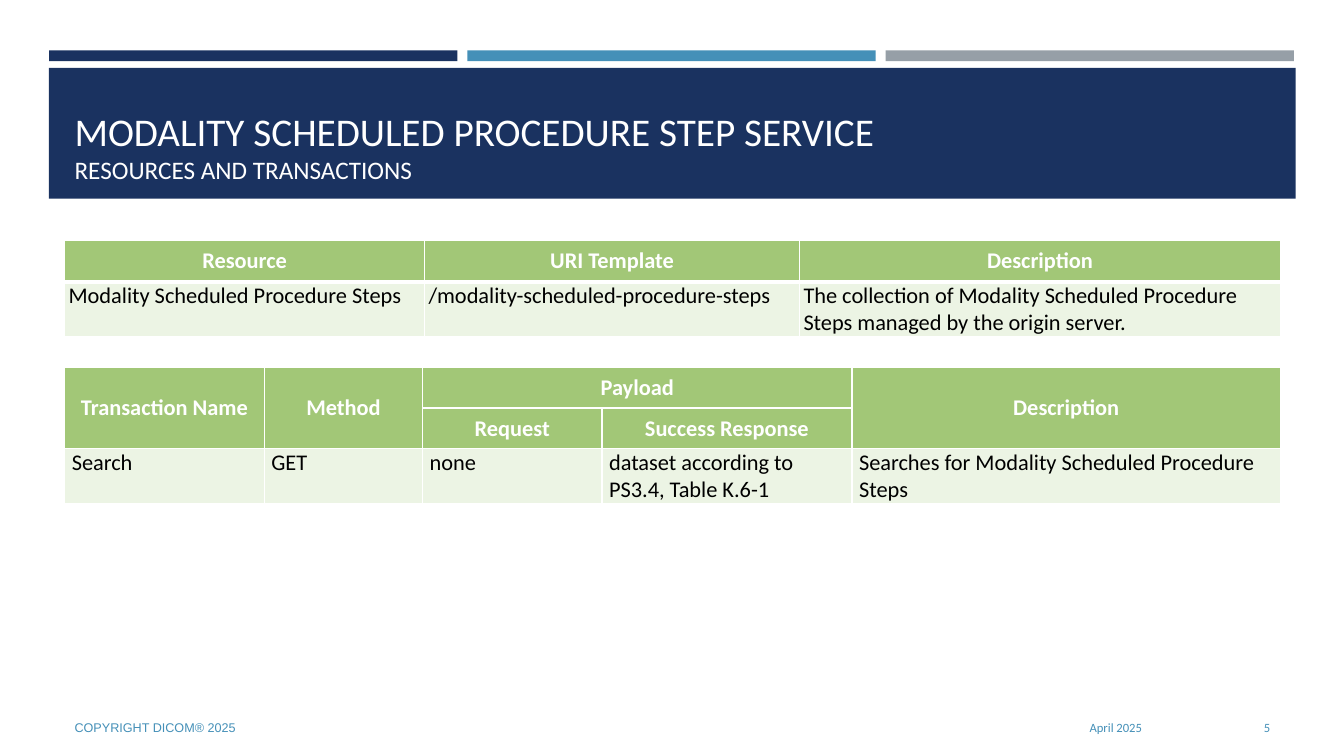
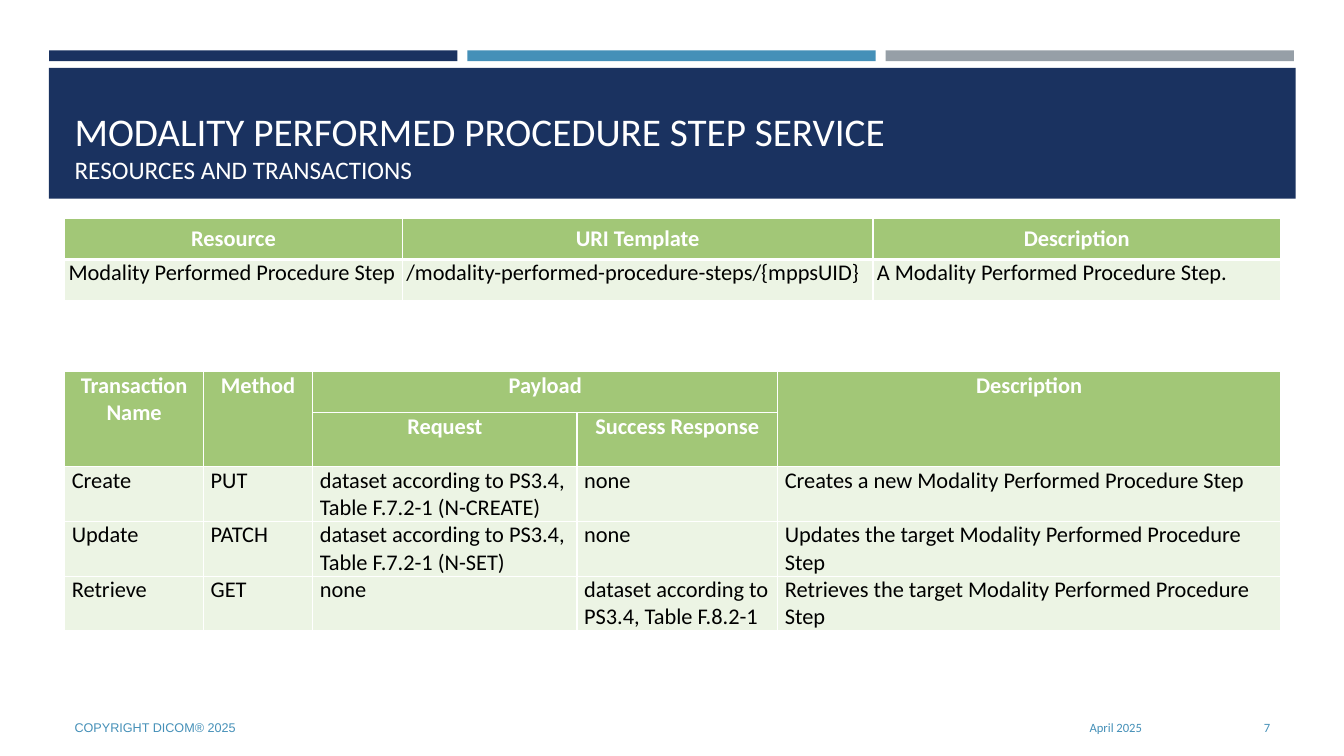
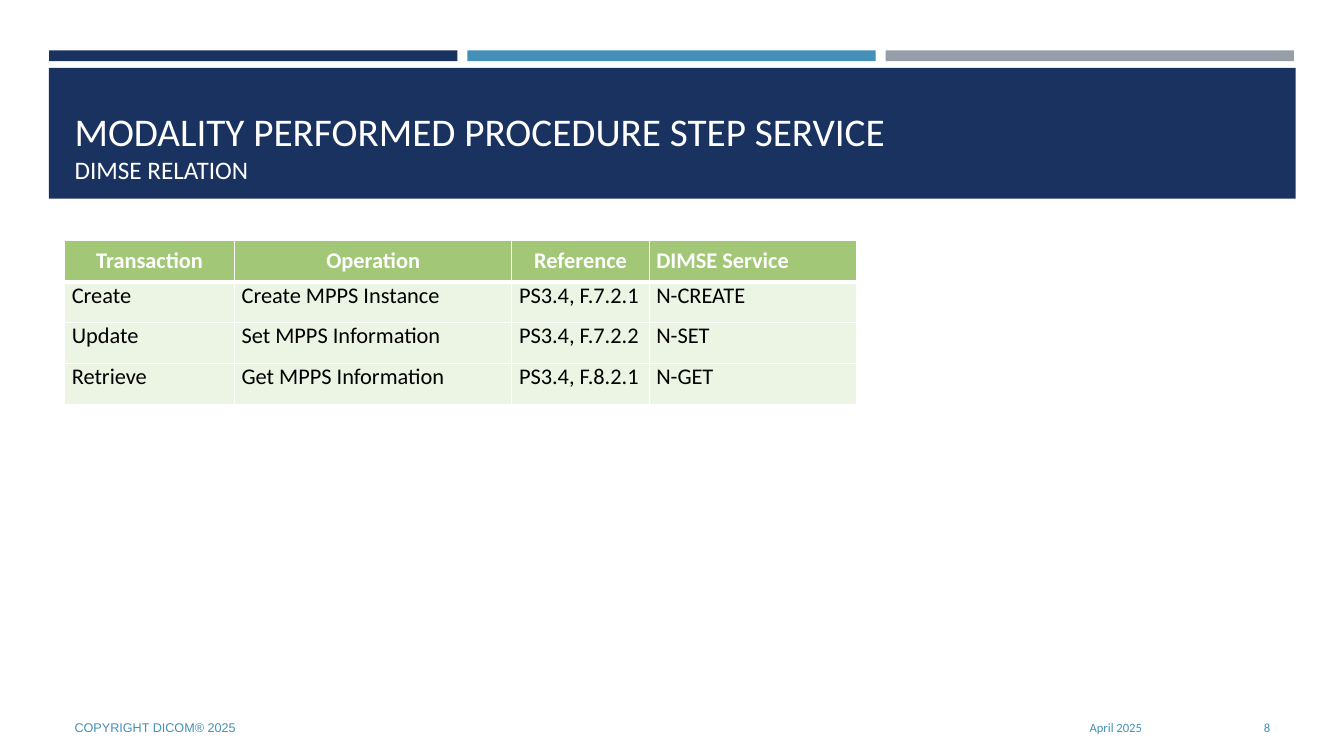
"""Build three slides on imaging procedure step services."""
from dataclasses import dataclass

from lxml.etree import SubElement
from pptx import Presentation
from pptx.dml.color import RGBColor
from pptx.enum.shapes import MSO_SHAPE
from pptx.enum.text import MSO_ANCHOR, PP_ALIGN
from pptx.oxml.ns import qn
from pptx.util import Cm, Pt


@dataclass(frozen=True)
class Theme:
    navy: str = "1A3260"
    blue: str = "4590B8"
    gray: str = "969FA7"
    green: str = "A2C777"
    pale: str = "ECF4E4"
    white: str = "FFFFFF"
    black: str = "000000"
    font: str = "Calibri"
    plain: str = "Arial"
    head: int = 28
    sub: int = 18
    body: int = 16
    foot: int = 9


theme = Theme()
left, mid, right = PP_ALIGN.LEFT, PP_ALIGN.CENTER, PP_ALIGN.RIGHT
top, center, bottom = MSO_ANCHOR.TOP, MSO_ANCHOR.MIDDLE, MSO_ANCHOR.BOTTOM


def write(frame, words, size=theme.body, color=theme.black, font=theme.font,
          bold=False, align=left, gap=0, more=False):
    para = frame.add_paragraph() if more else frame.paragraphs[0]
    para.alignment = align
    para.space_before = para.space_after = Pt(gap)
    run = para.add_run()
    run.text = words
    run.font.size = Pt(size)
    run.font.name = font
    run.font.bold = bold
    run.font.color.rgb = RGBColor.from_string(color)


def place(slide, x, y, w, h, anchor=center):
    frame = slide.shapes.add_textbox(Cm(x), Cm(y), Cm(w), Cm(h)).text_frame
    frame.word_wrap = True
    frame.vertical_anchor = anchor
    return frame


scheduled = "MODALITY SCHEDULED PROCEDURE STEP SERVICE"
performed = "MODALITY PERFORMED PROCEDURE STEP SERVICE"
parts = "RESOURCES AND TRANSACTIONS"
fields = ["Resource", "URI Template", "Description"]
upper = ["Transaction Name", "Method", "Payload", "", "Description"]
lower = ["", "", "Request", "Success Response", ""]
spans = [(0, 0, 1, 0), (0, 1, 1, 1), (0, 2, 0, 3), (0, 4, 1, 4)]

pages = [
    dict(title=scheduled, sub=parts, number="5", tables=[
        dict(y=6.07, cols=[9.07, 9.45, 12.12], rows=[1.03, 1.38], inset=0.1, rule=3, cells=[
            fields,
            ["Modality Scheduled Procedure Steps", "/modality-scheduled-procedure-steps",
             "The collection of Modality Scheduled Procedure Steps managed by the origin server."],
        ]),
        dict(y=9.25, cols=[5.03, 3.99, 4.52, 6.3, 10.8], rows=[1.03, 1.03, 1.38],
             heads=2, spans=spans, cells=[
            upper, lower,
            ["Search", "GET", "none", "dataset according to PS3.4, Table K.6-1",
             "Searches for Modality Scheduled Procedure Steps"],
        ]),
    ]),
    dict(title=performed, sub=parts, number="7", tables=[
        dict(y=5.51, cols=[8.51, 11.86, 10.27], rows=[1.03, 1.03], inset=0.1, rule=3, cells=[
            fields,
            ["Modality Performed Procedure Step", "/modality-performed-procedure-steps/{mppsUID}",
             "A Modality Performed Procedure Step."],
        ]),
        dict(y=9.37, cols=[3.5, 2.75, 6.66, 5.06, 12.67], rows=[1.03, 1.36, 1.38, 1.38, 1.38],
             heads=2, spans=spans, anchor=top, cells=[
            upper, lower,
            ["Create", "PUT", "dataset according to PS3.4, Table F.7.2-1 (N-CREATE)", "none",
             "Creates a new Modality Performed Procedure Step"],
            ["Update", "PATCH", "dataset according to PS3.4, Table F.7.2-1 (N-SET)", "none",
             "Updates the target Modality Performed Procedure Step"],
            ["Retrieve", "GET", "none", "dataset according to PS3.4, Table F.8.2-1",
             "Retrieves the target Modality Performed Procedure Step"],
        ]),
    ]),
    dict(title=performed, sub="DIMSE RELATION", number="8", tables=[
        dict(y=6.07, cols=[4.28, 6.99, 3.46, 5.22], rows=[1.03] * 4, rule=3, flush=3, cells=[
            ["Transaction", "Operation", "Reference", "DIMSE Service"],
            ["Create", "Create MPPS Instance", "PS3.4, F.7.2.1", "N-CREATE"],
            ["Update", "Set MPPS Information", "PS3.4, F.7.2.2", "N-SET"],
            ["Retrieve", "Get MPPS Information", "PS3.4, F.8.2.1", "N-GET"],
        ]),
    ]),
]

deck = Presentation()
deck.slide_width, deck.slide_height = Cm(33.87), Cm(19.05)
bands = [(1.24 + 10.54 * i, 1.27, 10.29, 0.27, color)
         for i, color in enumerate([theme.navy, theme.blue, theme.gray])]
bands.append((1.23, 1.71, 31.42, 3.3, theme.navy))

for page in pages:
    slide = deck.slides.add_slide(deck.slide_layouts[6])
    for x, y, w, h, color in bands:
        band = slide.shapes.add_shape(MSO_SHAPE.RECTANGLE, Cm(x), Cm(y), Cm(w), Cm(h))
        band.shadow.inherit = False
        band.fill.solid()
        band.fill.fore_color.rgb = RGBColor.from_string(color)
        band.line.fill.background()

    title = place(slide, 1.63, 1.96, 30.63, 2.82, bottom)
    write(title, page["title"], size=theme.head, color=theme.white)
    write(title, page["sub"], size=theme.sub, color=theme.white, more=True)

    for x, w, words, font, align in [
        (1.63, 19.2, "COPYRIGHT DICOM® 2025", theme.plain, left),
        (21.13, 7.9, "April 2025", theme.font, right),
        (29.34, 2.92, page["number"], theme.font, right),
    ]:
        write(place(slide, x, 17.83, w, 1.02), words, size=theme.foot,
              color=theme.blue, font=font, align=align)

    for plan in page["tables"]:
        cols, rows = plan["cols"], plan["rows"]
        heads, rule = plan.get("heads", 1), plan.get("rule", 1)
        table = slide.shapes.add_table(len(rows), len(cols), Cm(1.63), Cm(plan["y"]),
                                       Cm(sum(cols)), Cm(sum(rows))).table
        table.horz_banding = False
        for col, w in zip(table.columns, cols):
            col.width = Cm(w)
        for row, h in zip(table.rows, rows):
            row.height = Cm(h)
        for r1, c1, r2, c2 in plan.get("spans", []):
            table.cell(r1, c1).merge(table.cell(r2, c2))

        for r, line in enumerate(plan["cells"]):
            head = r < heads
            for c, words in enumerate(line):
                cell = table.cell(r, c)
                cell.margin_left = cell.margin_right = Cm(plan.get("inset", 0.18))
                cell.margin_top = cell.margin_bottom = 0
                cell.vertical_anchor = plan.get("anchor", center) if head else top
                props = cell._tc.get_or_add_tcPr()
                for side in "LRTB":
                    thick = (side == "B" and r == heads - 1) or (side == "T" and r == heads)
                    edge = SubElement(props, qn(f"a:ln{side}"), w=str(Pt(rule if thick else 1)))
                    SubElement(SubElement(edge, qn("a:solidFill")), qn("a:srgbClr"), val=theme.white)
                cell.fill.solid()
                cell.fill.fore_color.rgb = RGBColor.from_string(theme.green if head else theme.pale)
                if words:
                    write(cell.text_frame, words, color=theme.white if head else theme.black,
                          bold=head, gap=2,
                          align=mid if head and c != plan.get("flush") else left)

deck.save("out.pptx")
